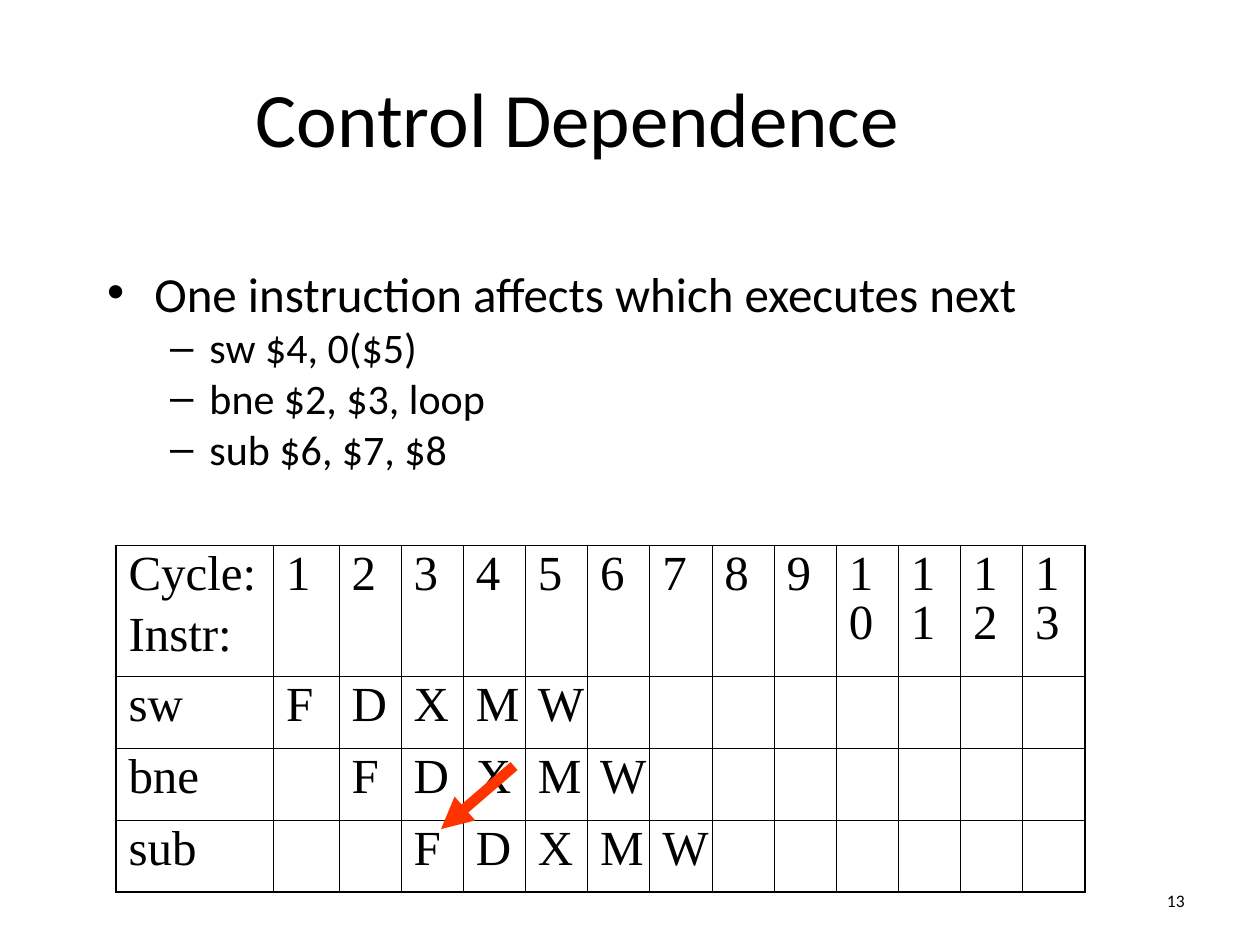
from dataclasses import dataclass

import pptx
import pptx.dml.color
import pptx.enum.shapes
import pptx.enum.text
import pptx.oxml
import pptx.oxml.ns
import pptx.util
from pptx.util import Inches

COLORS = {"text": "000000", "border": "000000", "arrow": "FF3300"}
THIN, THICK = 0.45, 1.08
STAGES = "FDXMW"
CYCLES = 13


@dataclass
class Bullet:
    text: str
    level: int
    size: int
    line_spacing: float
    space_before: int


@dataclass
class Instruction:
    name: str
    start: int  # cycle in which it is fetched


BULLETS = [Bullet("One instruction affects which executes next", 0, 28, 0.7, 7)] + [
    Bullet(code, 1, 24, 0.8, 6)
    for code in ("sw $4, 0($5)", "bne $2, $3, loop", "sub $6, $7, $8")
]
INSTRUCTIONS = [Instruction("sw", 1), Instruction("bne", 2), Instruction("sub", 3)]


def rgb(name: str) -> pptx.dml.color.RGBColor:
    return pptx.dml.color.RGBColor.from_string(COLORS[name])


def style(p, size: float, font: str = "Calibri") -> None:
    p.font.size = pptx.util.Pt(size)
    p.font.name = font
    p.font.color.rgb = rgb("text")


def place(s, left: float, top: float, width: float, height: float) -> None:
    s.left, s.top, s.width, s.height = map(Inches, (left, top, width, height))


def add_bullet(p, bullet: Bullet) -> None:
    p.text = bullet.text
    p.level = bullet.level
    p.line_spacing = bullet.line_spacing
    p.space_before = pptx.util.Pt(bullet.space_before)
    style(p, bullet.size)


def set_borders(cell, widths: dict[str, float]) -> None:
    tc_pr = cell._tc.get_or_add_tcPr()
    for i, (side, width) in enumerate(widths.items()):
        tc_pr.insert(i, pptx.oxml.parse_xml(
            f'<a:ln{side} {pptx.oxml.ns.nsdecls("a")} w="{pptx.util.Pt(width)}">'
            f'<a:solidFill><a:srgbClr val="{COLORS["border"]}"/></a:solidFill>'
            f'</a:ln{side}>'))


def fill_cell(cell, text: str) -> None:
    cell.fill.background()
    if not text:
        return
    cell.text = text
    for p in cell.text_frame.paragraphs:
        p.line_spacing = 0.9
        p.space_before = pptx.util.Pt(7)
        style(p, 28, "Times New Roman")


def pipeline_row(instr: Instruction) -> list[str]:
    row = [instr.name] + [""] * CYCLES
    row[instr.start:instr.start + len(STAGES)] = STAGES
    return row


def add_pipeline_table(slide) -> None:
    rows = [["Cycle:\nInstr:"] + [str(n + 1) for n in range(CYCLES)]]
    rows += [pipeline_row(instr) for instr in INSTRUCTIONS]
    last_row, last_col = len(rows) - 1, CYCLES
    table = slide.shapes.add_table(
        len(rows), CYCLES + 1,
        Inches(0.92), Inches(4.33), Inches(7.69), Inches(2.75)).table
    table.first_row = table.horz_banding = False

    widths = [1.25, 0.52] + [(7.69 - 1.25 - 0.52) / (CYCLES - 1)] * (CYCLES - 1)
    for column, width in zip(table.columns, widths):
        column.width = Inches(width)
    for r, texts in enumerate(rows):
        table.rows[r].height = Inches(0.57 if r else 1.04)
        for c, text in enumerate(texts):
            cell = table.cell(r, c)
            fill_cell(cell, text)
            outer = {"L": c == 0, "R": c == last_col, "T": r == 0, "B": r == last_row}
            set_borders(cell, {side: THICK if edge else THIN
                               for side, edge in outer.items()})


def add_arrow(slide, start: tuple[float, float], end: tuple[float, float]) -> None:
    s = slide.shapes.add_connector(
        pptx.enum.shapes.MSO_CONNECTOR.STRAIGHT, *map(Inches, start + end))
    s.line.color.rgb = rgb("arrow")
    s.line.width = pptx.util.Pt(6)
    ns = pptx.oxml.ns.nsdecls("a")
    s.line._get_or_add_ln().append(
        pptx.oxml.parse_xml(f'<a:tailEnd {ns} type="triangle"/>'))
    s._element.spPr.append(pptx.oxml.parse_xml(f"<a:effectLst {ns}/>"))


def main() -> None:
    prs = pptx.Presentation()
    prs.slide_width, prs.slide_height = Inches(10), Inches(7.5)
    slide = prs.slides.add_slide(prs.slide_layouts[1])

    # Title
    title = slide.shapes.title
    place(title, 0.5, 0.3, 8.17, 1.25)
    title.text_frame.text = "Control Dependence"
    style(title.text_frame.paragraphs[0], 44)

    # Bullet list
    body = slide.placeholders[1]
    place(body, 0.75, 2.17, 8.5, 1.67)
    tf = body.text_frame
    tf.auto_size = pptx.enum.text.MSO_AUTO_SIZE.NONE
    for i, bullet in enumerate(BULLETS):
        add_bullet(tf.add_paragraph() if i else tf.paragraphs[0], bullet)

    # Pipeline diagram, with the branch's effect on the next fetch
    add_pipeline_table(slide)
    add_arrow(slide, (4.08, 6.08), (3.5, 6.58))

    # Slide number
    number = slide.shapes.add_textbox(
        Inches(8.33), Inches(6.95), Inches(1.17), Inches(0.4))
    tf = number.text_frame
    tf.word_wrap = True
    tf.vertical_anchor = pptx.enum.text.MSO_ANCHOR.MIDDLE
    p = tf.paragraphs[0]
    p.text = "13"
    p.alignment = pptx.enum.text.PP_ALIGN.RIGHT
    style(p, 10)

    prs.save("out.pptx")


if __name__ == "__main__":
    main()
